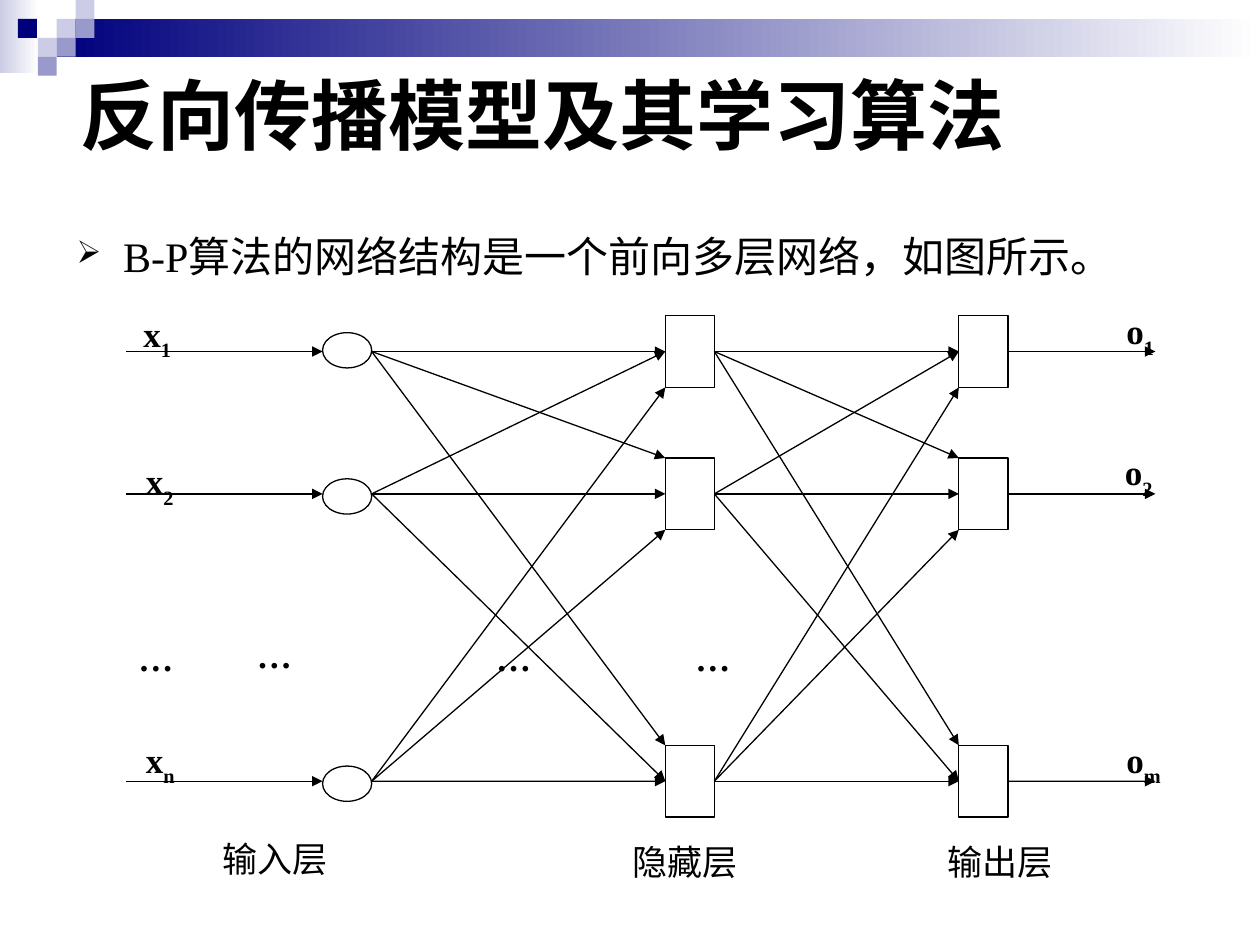
import lxml.etree
import pptx
import pptx.dml.color
import pptx.enum.shapes
import pptx.enum.text
import pptx.oxml.ns
import pptx.util

Inches, Pt = pptx.util.Inches, pptx.util.Pt
Shape = pptx.enum.shapes.MSO_SHAPE
Align = pptx.enum.text.PP_ALIGN
COLORS = {"ink": "000000", "paper": "FFFFFF", "navy": "00007D",
          "mid": "9999CC", "pale": "CCCCE6"}
SERIF, SANS = "Times New Roman", "Noto Sans CJK SC"


def rgb(name):
    return pptx.dml.color.RGBColor.from_string(COLORS[name])


def add_xml(parent, tag, **attrs):
    return lxml.etree.SubElement(parent, pptx.oxml.ns.qn(tag), attrs)


class Deck:
    """Holds the style and the current slide, and draws each kind of element."""

    def __init__(self):
        self.prs = pptx.Presentation()
        self.prs.slide_width, self.prs.slide_height = Inches(10), Inches(7.5)
        self.s = self.prs.slides.add_slide(self.prs.slide_layouts[6])
        self.line_width = Pt(0.75)

    def shape(self, kind, x, y, w, h, fill="paper", fade=False, outline=False):
        sp = self.s.shapes.add_shape(kind, Inches(x), Inches(y), Inches(w), Inches(h))
        sp.shadow.inherit = False
        if fade:
            sp.fill.gradient()
            sp.fill.gradient_angle = 0
            for stop, color in zip(sp.fill.gradient_stops, (fill, "paper")):
                stop.color.rgb = rgb(color)
        else:
            sp.fill.solid()
            sp.fill.fore_color.rgb = rgb(fill)
        if outline:
            sp.line.color.rgb = rgb("ink")
            sp.line.width = self.line_width
        else:
            sp.line.fill.background()
        return sp

    def arrow(self, start, end, source=None, target=None):
        points = [Inches(v) for v in (*start, *end)]
        c = self.s.shapes.add_connector(pptx.enum.shapes.MSO_CONNECTOR.STRAIGHT, *points)
        if source is not None:
            c.begin_connect(source, 3)
        if target is not None:
            c.end_connect(target, 1)
        c.line.color.rgb = rgb("ink")
        c.line.width = self.line_width
        add_xml(c.line._get_or_add_ln(), "a:tailEnd", type="triangle")
        add_xml(c._element.spPr, "a:effectLst")

    def text(self, text, x, y, w, h, size=20, font=SERIF, bold=False, sub="",
             align=Align.LEFT, grow=True, bullet=None, spacing=None):
        sp = self.s.shapes.add_textbox(Inches(x), Inches(y), Inches(w), Inches(h))
        tf = sp.text_frame
        tf.word_wrap = True
        if grow:
            tf.auto_size = pptx.enum.text.MSO_AUTO_SIZE.SHAPE_TO_FIT_TEXT
        p = tf.paragraphs[0]
        p.alignment = align
        if spacing:
            p.line_spacing = spacing
        if bullet:
            pPr = p._p.get_or_add_pPr()
            pPr.set("marL", str(Inches(0.37)))
            pPr.set("indent", str(-Inches(0.37)))
            add_xml(add_xml(pPr, "a:buClr"), "a:srgbClr", val=COLORS["ink"])
            add_xml(pPr, "a:buSzPct", val="75000")
            add_xml(pPr, "a:buChar", char=bullet)
        for part in filter(None, (text, sub)):
            r = p.add_run()
            r.text = part
            r.font.size, r.font.bold, r.font.name = Pt(size), bold, font
            r.font.color.rgb = rgb("ink")
            rPr = r._r.get_or_add_rPr()
            add_xml(rPr, "a:ea", typeface=SERIF if text == "…" else SANS)
            if part is sub:
                rPr.set("baseline", "-30000")


def draw_header(deck):
    deck.shape(Shape.RECTANGLE, 0, 0, 0.31, 0.58, "pale", fade=True)
    deck.shape(Shape.RECTANGLE, 0.45, 0.15, 9.55, 0.3, "navy", fade=True)
    cell = 0.15
    for col, row, color in ((3, 1, "pale"), (4, 0, "pale"), (4, 1, "mid"), (2, 2, "pale"),
                            (0.95, 1, "navy"), (3, 2, "mid"), (2, 3, "mid")):
        deck.shape(Shape.RECTANGLE, col * cell, row * cell, cell, cell, color)


def draw_network(deck):
    rows = (2.79, 3.92, 6.2)
    input_x, hidden_x, output_x = 2.56, 5.28, 7.61
    width, height = 0.39, 0.57
    for y in (2.64, 3.8, 6.08):
        deck.shape(Shape.OVAL, input_x, y, width, 0.28, outline=True)
    hidden, output = [[deck.shape(Shape.RECTANGLE, x, y - height / 2, width, height,
                                  outline=True) for y in rows] for x in (hidden_x, output_x)]

    for y in rows:
        deck.arrow((1, y), (input_x, y))
    for x, sources, next_x, targets in ((input_x, [None] * 3, hidden_x, hidden),
                                        (hidden_x, hidden, output_x, output)):
        for i, y in enumerate(rows):
            for j, next_y in enumerate(rows):
                to_middle = i in (1, j)
                corner = 0 if to_middle else height / 2 * (1 if i > j else -1)
                deck.arrow((x + width, y), (next_x, next_y + corner), sources[i],
                           targets[j] if to_middle else None)
    for y, node in zip(rows, output):
        deck.arrow((output_x + width, y), (9.17, y), node)

    for name, sub, x, y in (("x", "1", 1.04, 2.43), ("x", "2", 1.06, 3.6),
                            ("x", "n", 1.06, 5.81), ("o", "1", 8.84, 2.41),
                            ("o", "2", 8.83, 3.53), ("o", "m", 8.84, 5.81)):
        deck.text(name, x, y, 0.55, 0.5, bold=True, sub=sub)
    for x, y in ((1, 5), (1.94, 4.98), (3.84, 5), (5.42, 5)):
        deck.text("…", x, y, 0.5, 0.44, bold=True)
    for label, x, y in (("输入层", 1.67, 6.6), ("隐藏层", 4.92, 6.62), ("输出层", 7.42, 6.62)):
        deck.text(label, x, y, 1.15, 0.44, font=SANS)


def main():
    deck = Deck()
    draw_header(deck)
    deck.text("B-P算法的网络结构是一个前向多层网络，如图所示。", 0.51, 1.7, 9, 4.89, size=24,
              grow=False, bullet="➢", spacing=1.2)
    deck.text("反向传播模型及其学习算法", 0.38, 0.49, 7.86, 0.84, size=44, font=SANS,
              bold=True, align=Align.CENTER)
    draw_network(deck)
    deck.prs.save("out.pptx")


if __name__ == "__main__":
    main()
